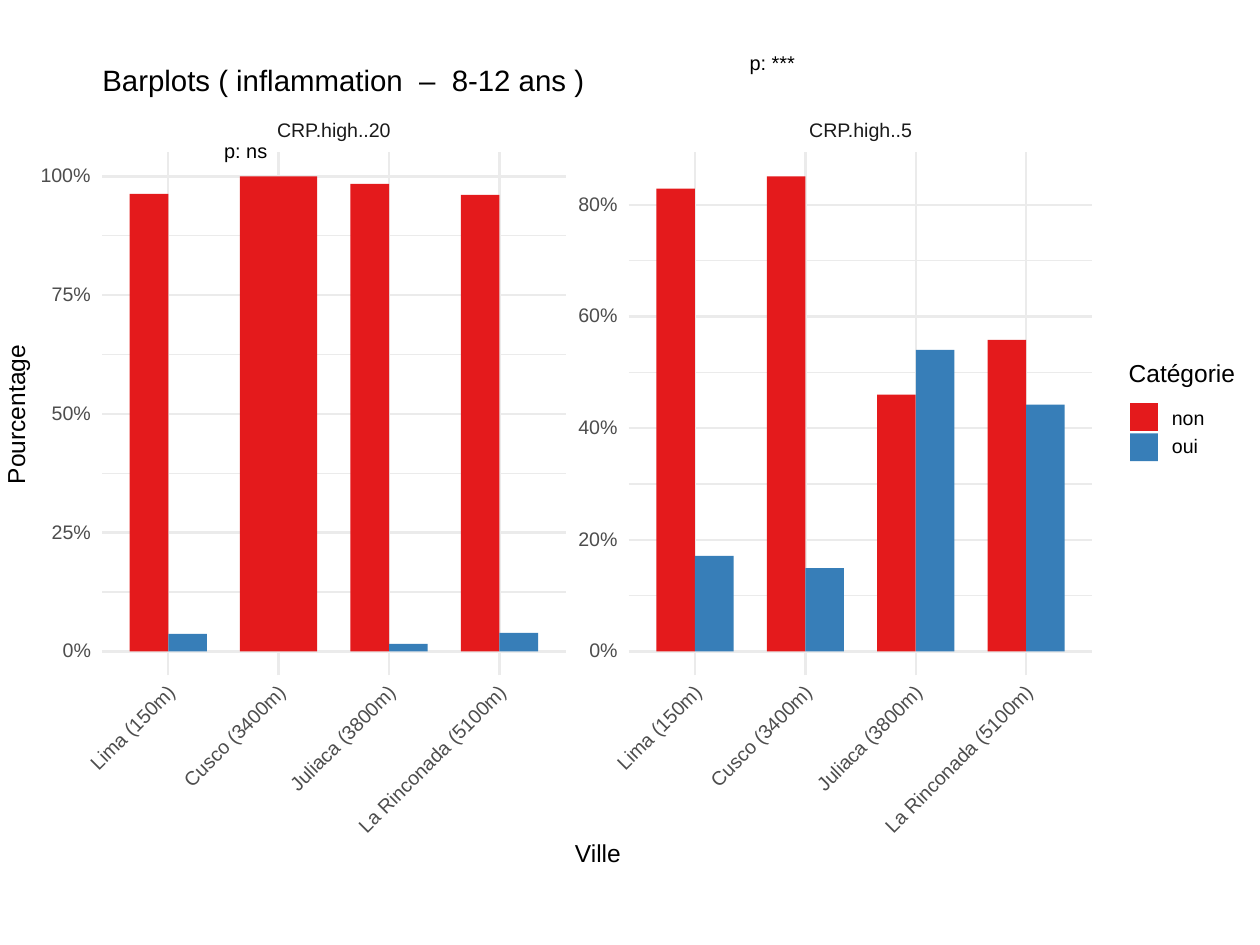
import math

import lxml.etree
import pptx
import pptx.dml.color
import pptx.enum.shapes
import pptx.enum.text
import pptx.oxml.ns
import pptx.util

Inches = pptx.util.Inches
Pt = pptx.util.Pt
RGBColor = pptx.dml.color.RGBColor

WHITE = RGBColor(0xFF, 0xFF, 0xFF)
BLACK = RGBColor(0x00, 0x00, 0x00)
STRIP_GREY = RGBColor(0x1A, 0x1A, 0x1A)
AXIS_GREY = RGBColor(0x4D, 0x4D, 0x4D)
GRID_GREY = RGBColor(0xEB, 0xEB, 0xEB)
RED = RGBColor(0xE4, 0x1A, 0x1C)
BLUE = RGBColor(0x37, 0x7E, 0xB8)

PANEL_TOP, PANEL_BOTTOM, PANEL_WIDTH = 1.21, 5.36, 3.68
ZERO_Y, TALLEST_BAR = 5.17, 3.77
CITY_STEP = PANEL_WIDTH / 4.2
BAR_WIDTH = 0.35 * CITY_STEP
CITIES = [
    ("Lima (150m)", 0.87),
    ("Cusco (3400m)", 1.06),
    ("Juliaca (3800m)", 1.11),
    ("La Rinconada (5100m)", 1.58),
]


class BarplotSlide:
    font = "Arial"
    label_size = 11.2
    text_slack = 0.04

    def __init__(self, slide):
        self.slide = slide

    def rect(self, left, top, width, height, color, outline=None):
        shape = self.slide.shapes.add_shape(
            pptx.enum.shapes.MSO_SHAPE.RECTANGLE,
            Inches(left), Inches(top), Inches(width), Inches(height))
        shape.shadow.inherit = False
        shape.fill.solid()
        shape.fill.fore_color.rgb = color
        if outline is None:
            shape.line.fill.background()
        else:
            shape.line.color.rgb = outline
            shape.line.width = Pt(0.75)

    def grid_line(self, x1, y1, x2, y2, weight=1.36):
        line = self.slide.shapes.add_connector(
            pptx.enum.shapes.MSO_CONNECTOR.STRAIGHT,
            Inches(x1), Inches(y1), Inches(x2), Inches(y2))
        line.line.color.rgb = GRID_GREY
        line.line.width = Pt(weight)
        lxml.etree.SubElement(
            line._element.spPr, pptx.oxml.ns.qn("a:effectLst"))

    def text(self, words, left, top, width, height,
             size=label_size, color=BLACK, rotation=0):
        box = self.slide.shapes.add_textbox(
            Inches(left - self.text_slack), Inches(top),
            Inches(width + 2 * self.text_slack), Inches(height))
        box.rotation = rotation
        frame = box.text_frame
        frame.margin_left = frame.margin_right = 0
        frame.margin_top = frame.margin_bottom = 0
        frame.word_wrap = False
        frame.vertical_anchor = pptx.enum.text.MSO_ANCHOR.MIDDLE
        paragraph = frame.paragraphs[0]
        paragraph.text = words
        paragraph.alignment = pptx.enum.text.PP_ALIGN.CENTER
        paragraph.line_spacing = Pt(size)
        paragraph.font.name = self.font
        paragraph.font.size = Pt(size)
        paragraph.font.color.rgb = color

    def grid(self, left, ticks, interval, scale):
        right = left + PANEL_WIDTH
        for tick in ticks[:-1]:
            y = ZERO_Y - (tick + interval / 2) * scale
            self.grid_line(left, y, right, y, 0.68)
        for tick in ticks:
            y = ZERO_Y - tick * scale
            self.grid_line(left, y, right, y)
        for index in range(len(CITIES)):
            x = left + (0.6 + index) * CITY_STEP
            self.grid_line(x, PANEL_BOTTOM, x, PANEL_TOP)

    def bars(self, left, shares, scale):
        for index, (non, oui) in enumerate(shares):
            x = left + (0.6 + index) * CITY_STEP
            non_width = BAR_WIDTH if oui else 2 * BAR_WIDTH
            self.rect(x - BAR_WIDTH, ZERO_Y - non * scale,
                      non_width, non * scale, RED)
            if oui:
                self.rect(x, ZERO_Y - oui * scale,
                          BAR_WIDTH, oui * scale, BLUE)

    def axis_labels(self, left, ticks, scale):
        for index, (city, width) in enumerate(CITIES):
            reach = width / 2 * math.sqrt(0.5)
            center_x = left + (0.6 + index) * CITY_STEP + 0.03 - reach
            self.text(city, center_x - width / 2, 5.4 + reach,
                      width, 0.15, color=AXIS_GREY, rotation=315)
        for tick in ticks:
            label = f"{tick}%"
            width = 0.04 + 0.09 * len(label)
            self.text(label, left - 0.09 - width, ZERO_Y - tick * scale - 0.05,
                      width, 0.11, color=AXIS_GREY)

    def panel(self, left, title, title_width, interval, shares):
        highest = max(max(pair) for pair in shares)
        scale = TALLEST_BAR / highest
        ticks = range(0, int(highest) + 1, interval)
        self.grid(left, ticks, interval, scale)
        self.bars(left, shares, scale)
        self.text(title, left + (PANEL_WIDTH - title_width) / 2, 0.97,
                  title_width, 0.15, color=STRIP_GREY)
        self.axis_labels(left, ticks, scale)

    def legend(self):
        self.text("Catégorie", 8.96, 2.88, 0.84, 0.19, 14)
        entries = [("non", 0.26, RED), ("oui", 0.21, BLUE)]
        for index, (category, width, color) in enumerate(entries):
            self.rect(8.97, 3.2 + 0.24 * index, 0.22, 0.22, color)
            self.text(category, 9.3, 3.28 + 0.22 * index, width, 0.1)


def main():
    deck = pptx.Presentation()
    deck.slide_width, deck.slide_height = Inches(10), Inches(7.5)
    barplots = BarplotSlide(deck.slides.add_slide(deck.slide_layouts[6]))

    barplots.rect(0, 0.5, 10, 6.5, WHITE, WHITE)
    barplots.panel(0.81, "CRP.high..20", 0.93, 25,
                   [(96.3, 3.7), (100, 0), (98.4, 1.6), (96.1, 3.9)])
    barplots.panel(4.99, "CRP.high..5", 0.84, 20,
                   [(82.9, 17.1), (85.1, 14.9), (46, 54), (55.8, 44.2)])
    barplots.text("p: ns", 1.78, 1.15, 0.34, 0.12, 11.4)
    barplots.text("p: ***", 5.95, 0.44, 0.36, 0.15, 11.4)
    barplots.text("Ville", 4.56, 6.72, 0.37, 0.14, 14)
    barplots.text("Pourcentage", -0.41, 3.2, 1.1, 0.18, 14, rotation=270)
    barplots.legend()
    barplots.text("Barplots ( inflammation  –  8-12 ans )",
                  0.81, 0.55, 3.83, 0.22, 16.8)

    deck.save("out.pptx")


if __name__ == "__main__":
    main()
